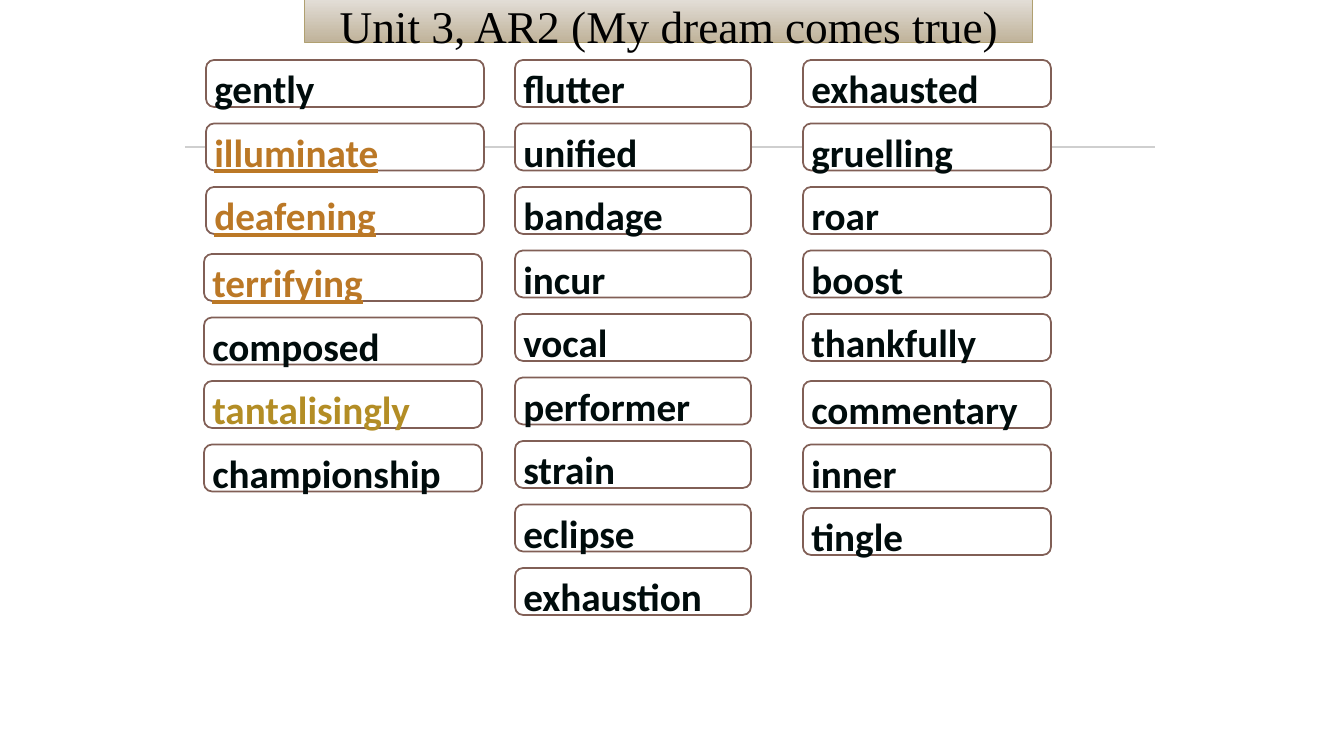
from pptx import Presentation
from pptx.dml.color import RGBColor
from pptx.enum.shapes import MSO_CONNECTOR, MSO_SHAPE
from pptx.enum.text import MSO_ANCHOR, PP_ALIGN
from pptx.util import Pt
from lxml.etree import SubElement
from pptx.oxml.ns import qn

PX = 914400 / 100.8
INK, LINK, VISITED = "000C0C", "BB7826", "B38D25"


def px(length):
    return round(length * PX)


def color(hex_value):
    return RGBColor.from_string(hex_value)


presentation = Presentation()
presentation.slide_width = px(1344)
presentation.slide_height = px(756)
slide = presentation.slides.add_slide(presentation.slide_layouts[6])
shapes = slide.shapes

# Rule behind the word cards
rule = shapes.add_connector(MSO_CONNECTOR.STRAIGHT, px(185), px(147), px(1155), px(147))
rule.line.color.rgb = color("CFCFCF")
rule.line.width = Pt(0.75)
SubElement(rule._element.spPr, qn("a:effectLst"))

# Unit title
title = shapes.add_textbox(px(305), 0, px(728), px(43))
title.fill.gradient()
title.fill.gradient_angle = 270
for stop, shade in zip(title.fill.gradient_stops, ("E2DDD6", "BFB299")):
    stop.color.rgb = color(shade)
title.line.color.rgb = color("B0A070")
title.line.width = Pt(0.75)
title_frame = title.text_frame
title_frame.word_wrap = True
title_frame.vertical_anchor = MSO_ANCHOR.MIDDLE
title_frame.margin_top, title_frame.margin_bottom = px(8), 0
title_frame.text = "Unit 3, AR2 (My dream comes true)"
heading = title_frame.paragraphs[0]
heading.alignment = PP_ALIGN.CENTER
heading.font.name = "Times New Roman"
heading.font.size = Pt(32.4)
heading.font.color.rgb = color("000000")

# Word cards: left, top and width of each stack, then its words
stacks = [
    (206, 60, 278, ["gently", "illuminate", "deafening"]),
    (204, 254, 278, ["terrifying", "composed", "tantalisingly", "championship"]),
    (515, 60, 236, ["flutter", "unified", "bandage", "incur", "vocal",
                    "performer", "strain", "eclipse", "exhaustion"]),
    (803, 60, 248, ["exhausted", "gruelling", "roar", "boost", "thankfully"]),
    (803, 381, 248, ["commentary", "inner", "tingle"]),
]
linked_words = {"illuminate", "deafening", "terrifying"}
word_colors = {word: LINK for word in linked_words} | {"tantalisingly": VISITED}

for left, top, width, words in stacks:
    for row, word in enumerate(words):
        card = shapes.add_shape(MSO_SHAPE.ROUNDED_RECTANGLE, px(left),
                                px(top + row * 127 / 2), px(width), px(47))
        card.shadow.inherit = False
        card.adjustments[0] = 0.17
        card.fill.solid()
        card.fill.fore_color.rgb = color("FFFFFF")
        card.line.color.rgb = color("815F56")
        card.line.width = Pt(1.25)

        frame = card.text_frame
        frame.word_wrap = True
        frame.vertical_anchor = MSO_ANCHOR.MIDDLE
        frame.margin_left, frame.margin_right = px(6), px(2)
        frame.margin_top = frame.margin_bottom = px(1)
        frame.text = word
        entry = frame.paragraphs[0]
        entry.alignment = PP_ALIGN.LEFT
        entry.line_spacing = 1.2
        indents = entry._p.get_or_add_pPr()
        indents.set("marL", str(px(29)))
        indents.set("indent", str(-px(29)))

        run_font = entry.runs[0].font
        run_font.name = "Calibri"
        run_font.size = Pt(28)
        run_font.bold = True
        run_font.color.rgb = color(word_colors.get(word, INK))
        if word in linked_words:
            run_font.underline = True

presentation.save("out.pptx")
